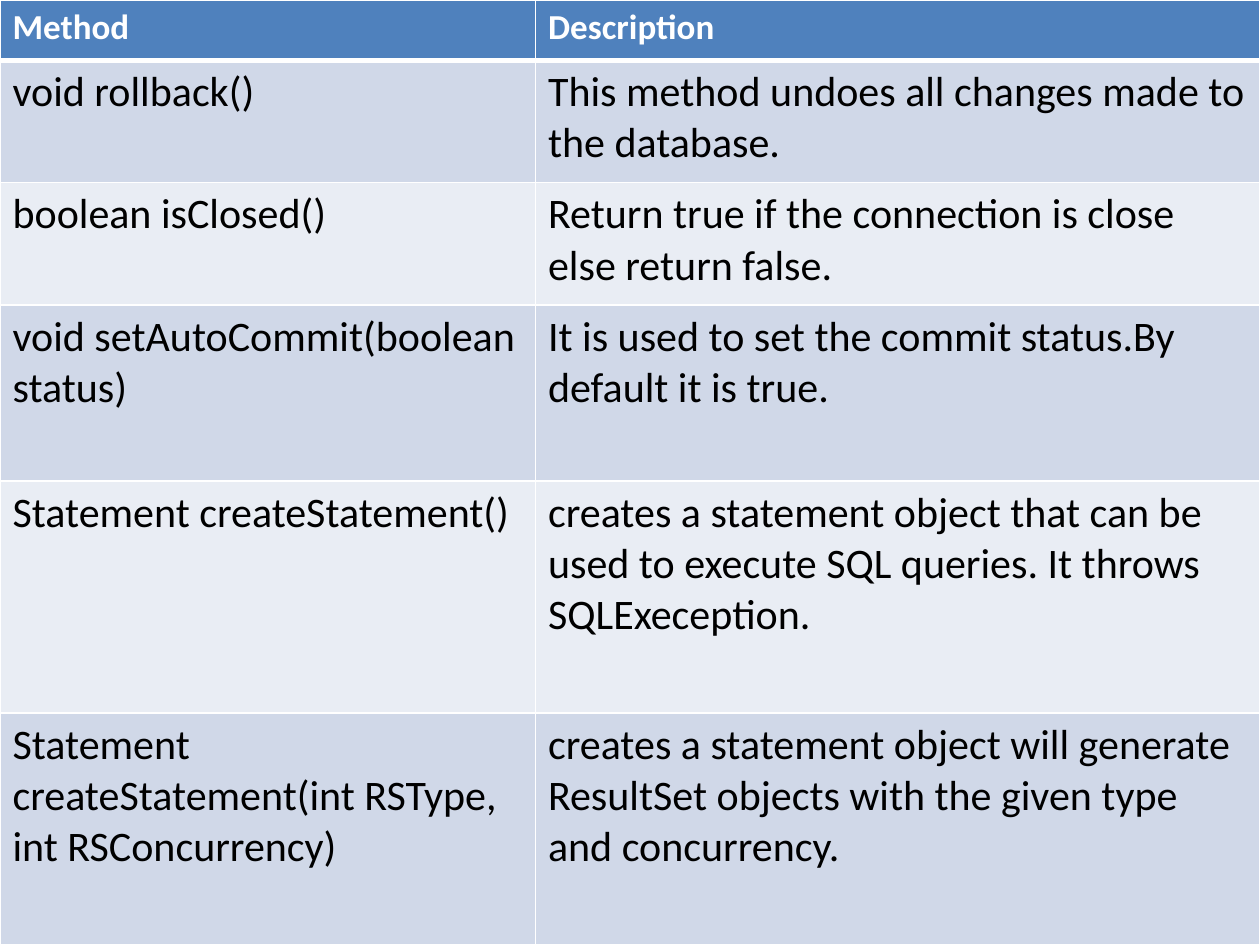
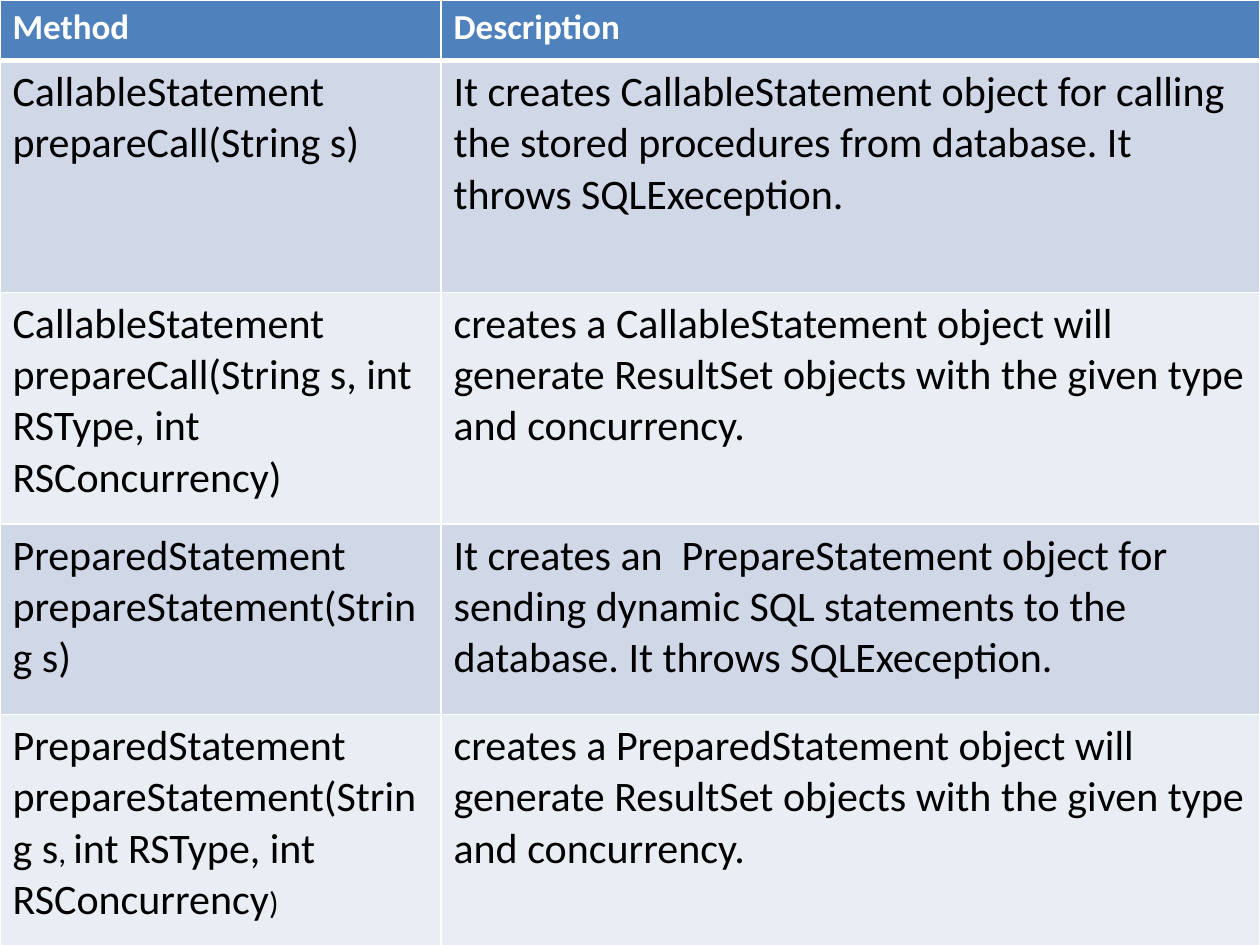
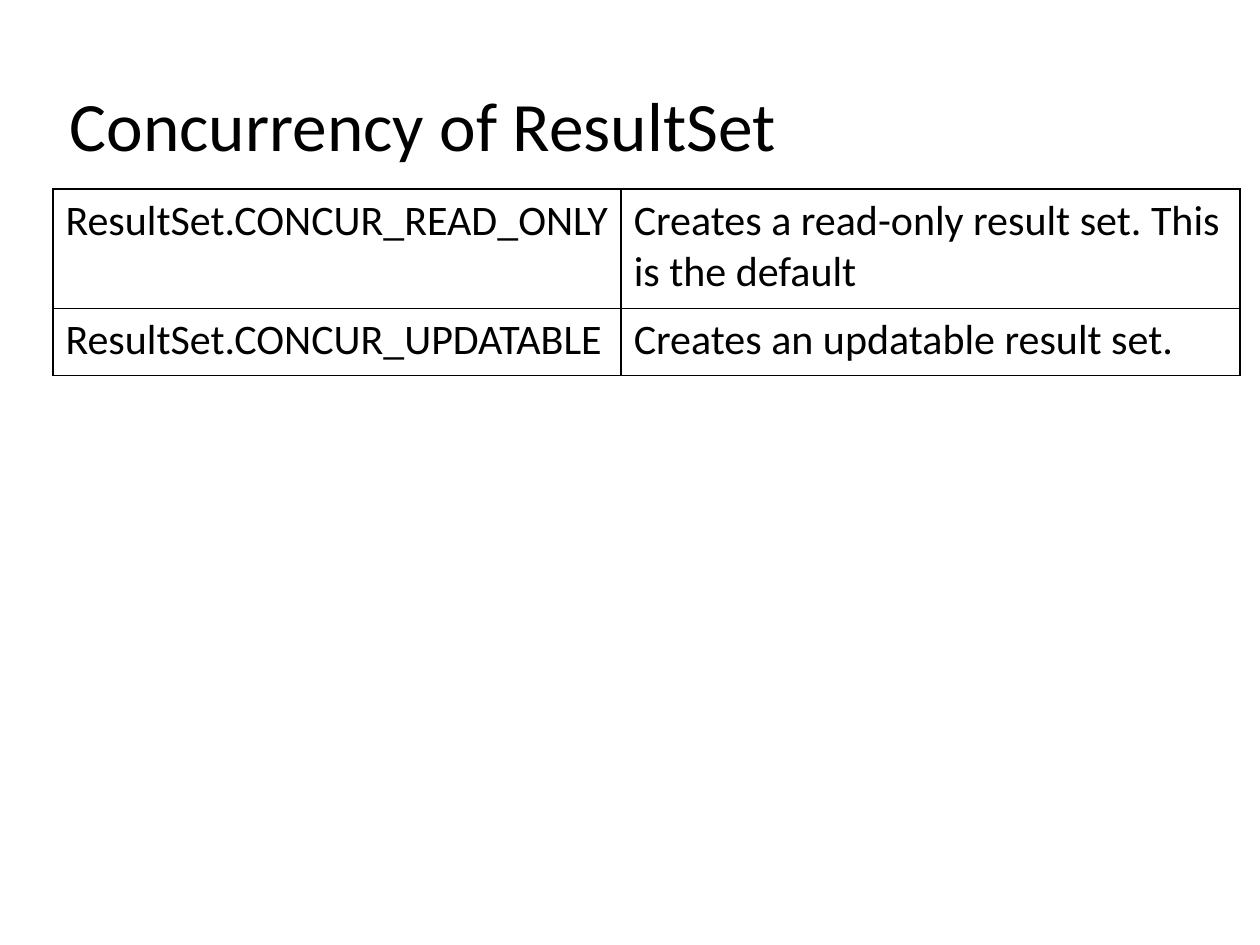
"""Builds three slides on JDBC connection methods and ResultSet concurrency."""
from lxml.etree import SubElement
from pptx import Presentation
from pptx.dml.color import RGBColor
from pptx.enum.text import MSO_ANCHOR, PP_ALIGN
from pptx.oxml.ns import qn
from pptx.util import Inches, Pt

FONT = "Calibri"
WHITE, BLACK, BLUE = "FFFFFF", "000000", "4F81BD"
BANDS = ["D0D8E8", "E9EDF4"]
HEADER = ["Method", "Description"]


def add_run(p, text, size, color, bold=False):
    r = p.add_run()
    r.text = text
    r.font.name = FONT
    r.font.size = Pt(size)
    r.font.bold = bold
    r.font.color.rgb = RGBColor.from_string(color)


def add_grid(slide, left, top, widths, heights, rows, border, header):
    frame = slide.shapes.add_table(
        len(rows), len(widths), Inches(left), Inches(top),
        Inches(sum(widths)), Inches(sum(heights)))
    table = frame.table
    table.first_row = header
    table.horz_banding = header
    for column, width in zip(table.columns, widths):
        column.width = Inches(width)
    for i, (height, texts) in enumerate(zip(heights, rows)):
        table.rows[i].height = Inches(height)
        is_head = header and i == 0
        for j, text in enumerate(texts):
            cell = table.cell(i, j)
            tcPr = cell._tc.get_or_add_tcPr()
            for side in ("L", "R", "T", "B"):
                thick = header and (i, side) in ((0, "B"), (1, "T"))
                ln = SubElement(tcPr, qn("a:ln" + side), w=str(Pt(3 if thick else 1)))
                SubElement(SubElement(ln, qn("a:solidFill")), qn("a:srgbClr"), val=border)
            if header:
                cell.fill.solid()
                fill = BLUE if is_head else BANDS[(i - 1) % 2]
                cell.fill.fore_color.rgb = RGBColor.from_string(fill)
            else:
                cell.fill.background()
            p = cell.text_frame.paragraphs[0]
            runs = [(text, 20 if is_head else 24)] if isinstance(text, str) else text
            for part, size in runs:
                add_run(p, part, size, WHITE if is_head else BLACK, is_head)


prs = Presentation()
prs.slide_width = Inches(10)
prs.slide_height = Inches(7.5)
title_only, blank = prs.slide_layouts[5], prs.slide_layouts[6]

connection_rows = [
    HEADER,
    ["void rollback()", "This method undoes all changes made to the database."],
    ["boolean isClosed()", "Return true if the connection is close else return false."],
    ["void setAutoCommit(boolean status)",
     "It is used to set the commit status.By default it is true."],
    ["Statement createStatement()",
     "creates a statement object that can be used to execute SQL queries. "
     "It throws SQLExeception."],
    ["Statement createStatement(int RSType, int RSConcurrency)",
     "creates a statement object will generate ResultSet objects with the given type "
     "and concurrency."],
]
s = prs.slides.add_slide(blank)
add_grid(s, 0, 0, [4.25, 5.75], [0.48, 0.97, 0.97, 1.4, 1.84, 1.84],
         connection_rows, WHITE, True)

statement_rows = [
    HEADER,
    ["CallableStatement prepareCall(String s)",
     "It creates CallableStatement object for calling the stored procedures from database. "
     "It throws SQLExeception."],
    ["CallableStatement prepareCall(String s, int RSType, int RSConcurrency)",
     "creates a CallableStatement object will generate ResultSet objects with the given type "
     "and concurrency."],
    ["PreparedStatement prepareStatement(String s)",
     "It creates an\u00a0 PrepareStatement object for sending dynamic SQL statements "
     "to the database. It throws SQLExeception."],
    [[("PreparedStatement prepareStatement(String s", 24), (", ", 18),
      ("int RSType, int RSConcurrency", 24), (")", 18)],
     "creates a PreparedStatement object will generate ResultSet objects with the given type "
     "and concurrency."],
]
s = prs.slides.add_slide(blank)
add_grid(s, 0, 0, [3.5, 6.5], [0.48, 1.84, 1.84, 1.51, 1.84],
         statement_rows, WHITE, True)

concurrency_rows = [
    ["ResultSet.CONCUR_READ_ONLY", "Creates a read-only result set. This is the default"],
    ["ResultSet.CONCUR_UPDATABLE", "Creates an updatable result set."],
]
s = prs.slides.add_slide(title_only)
title = s.shapes.title
title.left, title.top = Inches(0.33), Inches(0.67)
title.width, title.height = Inches(9), Inches(0.62)
tf = title.text_frame
tf.vertical_anchor = MSO_ANCHOR.MIDDLE
p = tf.paragraphs[0]
p.alignment = PP_ALIGN.LEFT
add_run(p, " Concurrency of ResultSet", 39.6, BLACK)
add_grid(s, 0.42, 1.5, [4.51, 4.91], [0.95, 0.53], concurrency_rows, BLACK, False)

prs.save("out.pptx")
